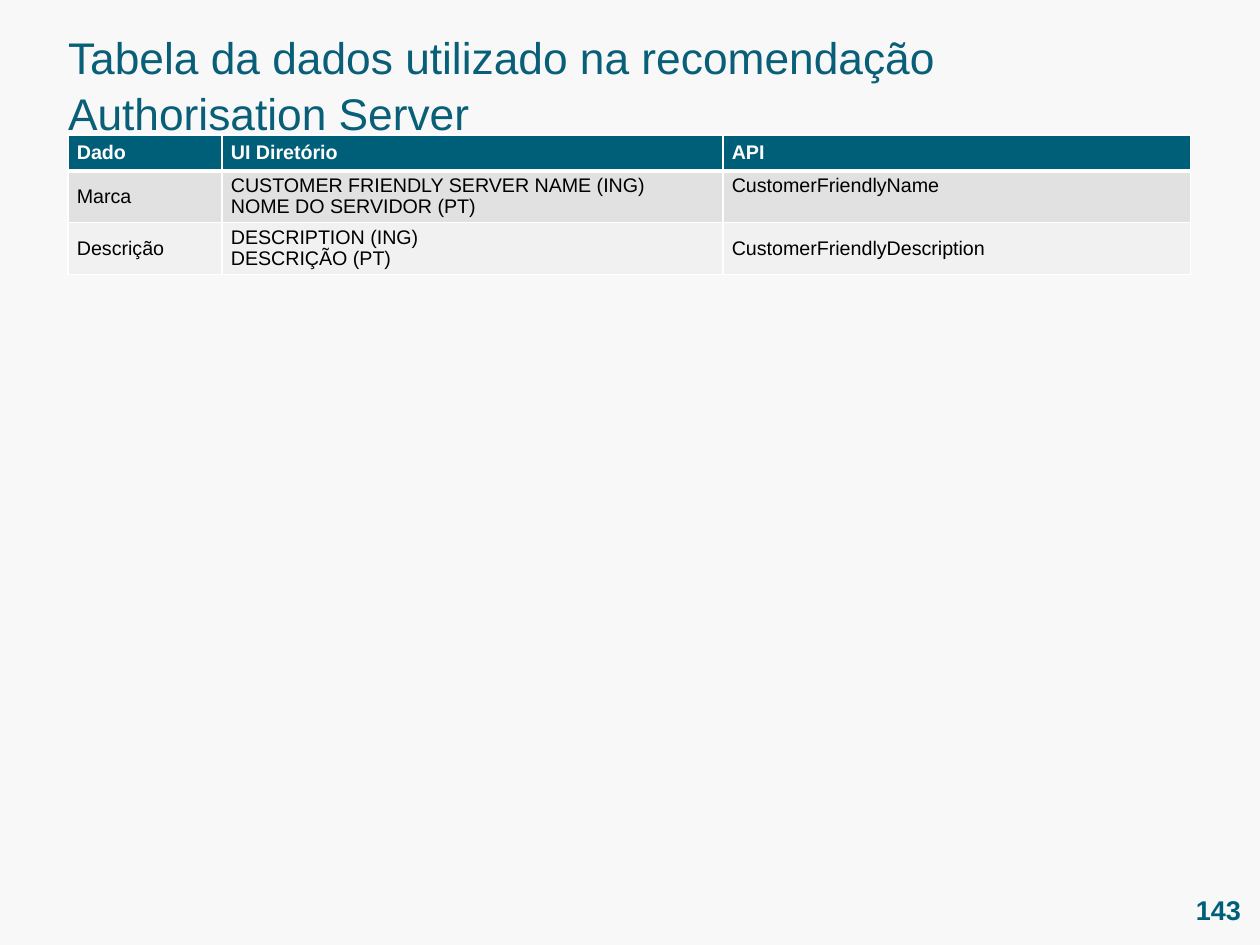
from dataclasses import dataclass

from lxml import etree
from pptx import Presentation
from pptx.dml.color import RGBColor
from pptx.enum.text import MSO_ANCHOR, MSO_AUTO_SIZE, PP_ALIGN
from pptx.oxml.ns import qn
from pptx.util import Pt

TOP, MIDDLE = MSO_ANCHOR.TOP, MSO_ANCHOR.MIDDLE
LEFT, RIGHT = PP_ALIGN.LEFT, PP_ALIGN.RIGHT
FIXED = MSO_AUTO_SIZE.NONE
SCALE = 10321


@dataclass(frozen=True)
class Theme:
    """Colours, font and type sizes of the slide."""
    font: str = "Arial"
    page: str = "F8F8F8"
    title: str = "095F78"
    head: str = "005F78"
    bands: tuple = ("E1E1E1", "F1F1F1")
    white: str = "FFFFFF"
    black: str = "000000"
    big: int = 36
    mid: int = 22
    small: int = 16


THEME = Theme()
TITLE = "Tabela da dados utilizado na recomendação\nAuthorisation Server"
COLS = (154, 501, 468)
ROWS = (36, 52, 52)
DATA = (
    ("Dado", "UI Diretório", "API"),
    ("Marca", "CUSTOMER FRIENDLY SERVER NAME (ING)\nNOME DO SERVIDOR (PT)",
     "CustomerFriendlyName"),
    ("Descrição", "DESCRIPTION (ING)\nDESCRIÇÃO (PT)",
     "CustomerFriendlyDescription"),
)


def px(count):
    """Turn pixels into EMU."""
    return count * SCALE


def write(frame, text, *, size, color, bold=False, align=LEFT, space=1.0):
    """Fill a text frame with one paragraph for each line of text."""
    frame.text = text
    for para in frame.paragraphs:
        para.alignment = align
        para.line_spacing = space
        font = para.runs[0].font
        font.name, font.size, font.bold = THEME.font, Pt(size), bold
        font.color.rgb = RGBColor.from_string(color)


def setup(frame, anchor):
    """Give a frame fixed size, wrapping and no margins."""
    frame.auto_size = FIXED
    frame.word_wrap = True
    frame.vertical_anchor = anchor
    frame.margin_left = frame.margin_right = 0
    frame.margin_top = frame.margin_bottom = 0


def paint(fill, color):
    """Set a solid fill."""
    fill.solid()
    fill.fore_color.rgb = RGBColor.from_string(color)


def edge(cell, top, bottom):
    """Draw white borders around a cell, widths in points."""
    props = cell._tc.get_or_add_tcPr()
    widths = {"lnL": 1, "lnR": 1, "lnT": top, "lnB": bottom}
    for spot, (tag, width) in enumerate(widths.items()):
        line = etree.Element(qn(f"a:{tag}"), w=str(Pt(width)))
        fill = etree.SubElement(line, qn("a:solidFill"))
        etree.SubElement(fill, qn("a:srgbClr"), val=THEME.white)
        props.insert(spot, line)


def add_title(slide):
    """Place the title."""
    shape = slide.shapes.title
    shape.left, shape.top = px(68), px(27)
    shape.width, shape.height = px(919), px(107)
    setup(shape.text_frame, TOP)
    write(shape.text_frame, TITLE, size=THEME.big, color=THEME.title, space=1.06)


def add_grid(slide):
    """Add the data table."""
    grid = slide.shapes.add_table(len(ROWS), len(COLS), px(68), px(135),
                                  px(sum(COLS)), px(sum(ROWS))).table
    for col, width in zip(grid.columns, COLS):
        col.width = px(width)
    for r, (row, height) in enumerate(zip(grid.rows, ROWS)):
        row.height = px(height)
        head = r == 0
        for c, cell in enumerate(row.cells):
            write(cell.text_frame, DATA[r][c], size=THEME.small, bold=head,
                  color=THEME.white if head else THEME.black, space=0.95)
            cell.vertical_anchor = MIDDLE
            paint(cell.fill, THEME.head if head else THEME.bands[r - 1])
            edge(cell, top=3 if r == 1 else 1, bottom=3 if head else 1)
    grid.cell(1, 2).vertical_anchor = TOP


def add_page(slide):
    """Add the page number."""
    frame = slide.shapes.add_textbox(px(1169), px(889), px(72), px(42)).text_frame
    setup(frame, MIDDLE)
    write(frame, "143", size=THEME.mid, color=THEME.head, bold=True, align=RIGHT)


def main():
    """Build and save the slide."""
    deck = Presentation()
    deck.slide_width, deck.slide_height = px(1260), px(945)
    slide = deck.slides.add_slide(deck.slide_layouts[5])
    paint(slide.background.fill, THEME.page)
    add_title(slide)
    add_grid(slide)
    add_page(slide)
    deck.save("out.pptx")


if __name__ == "__main__":
    main()
